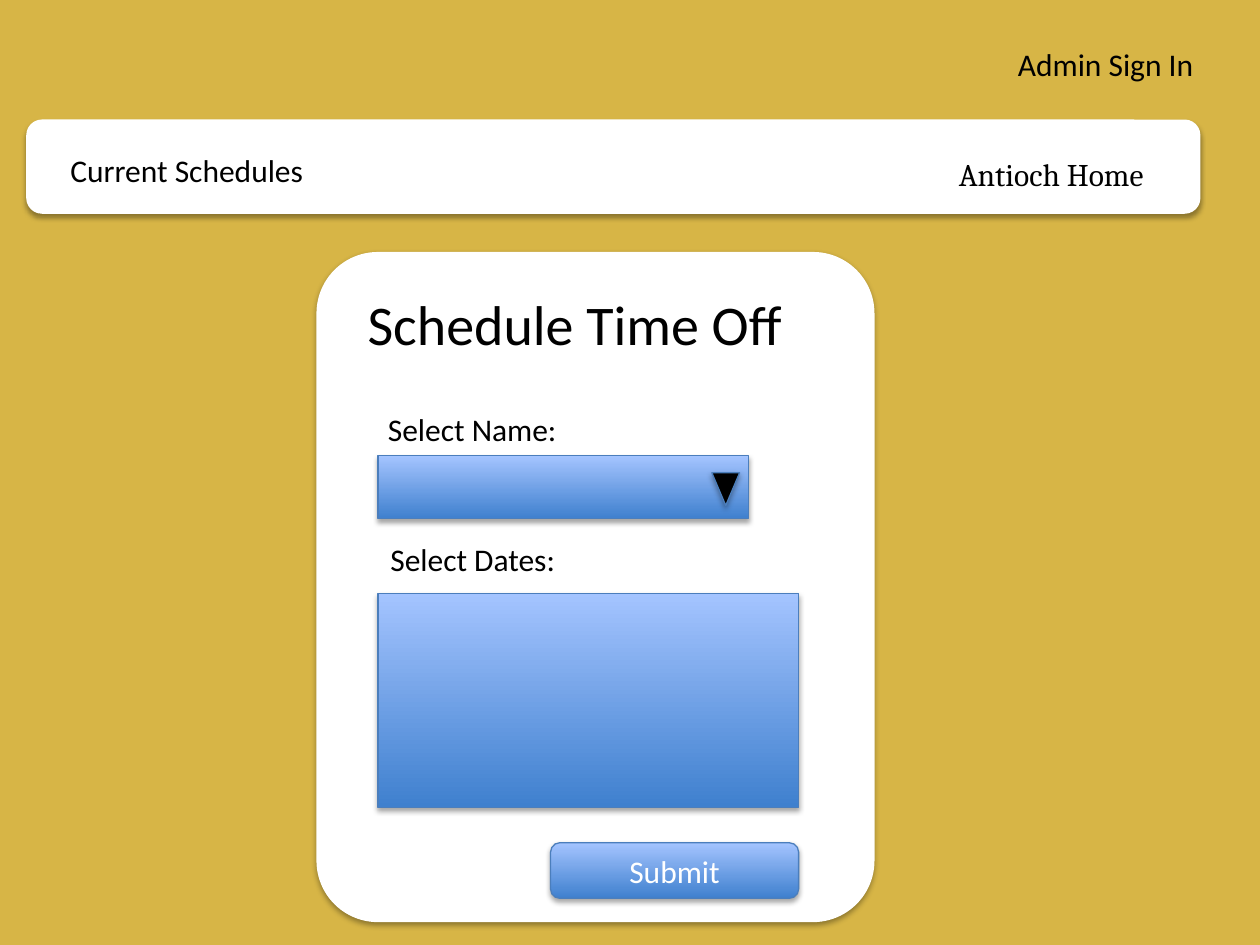
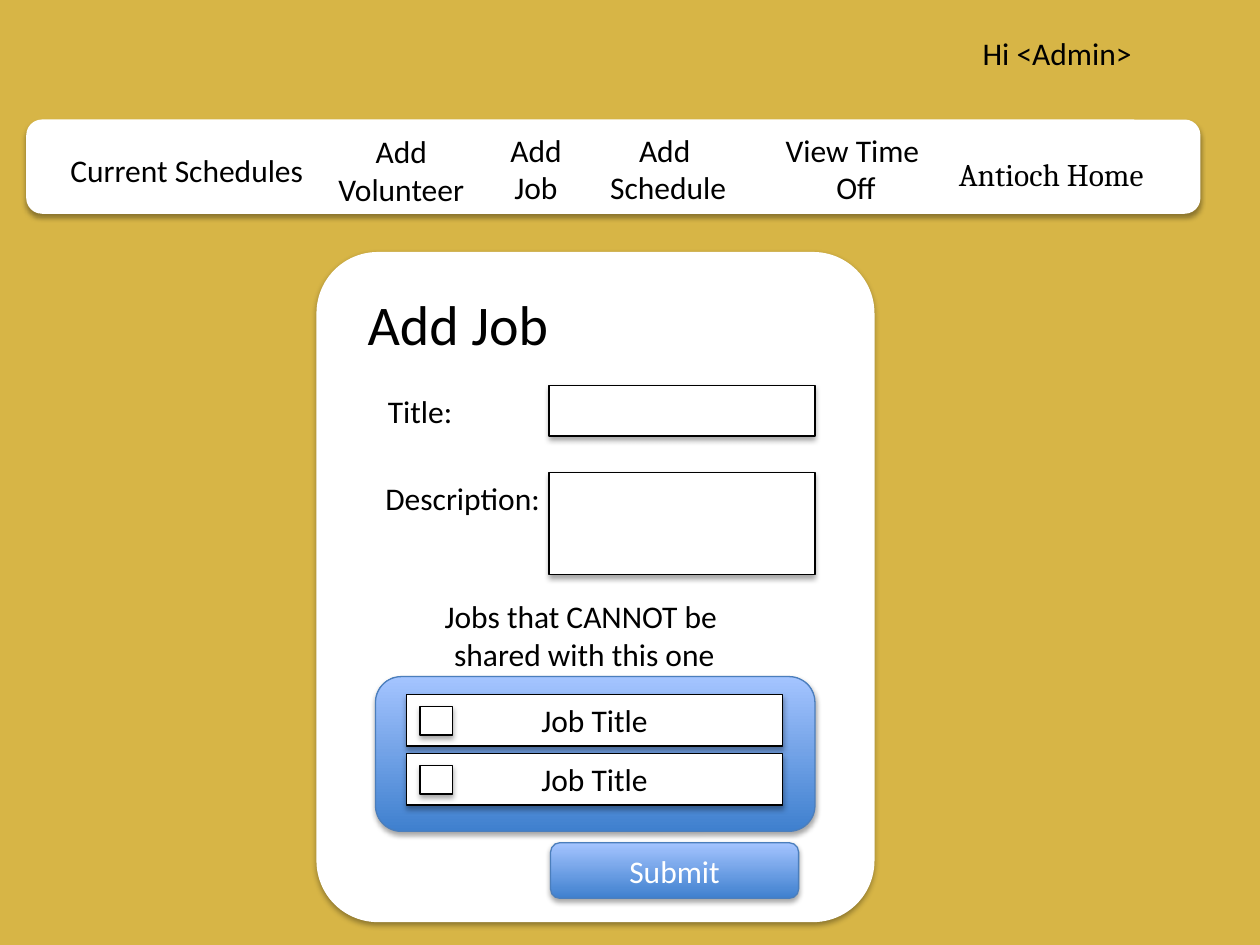
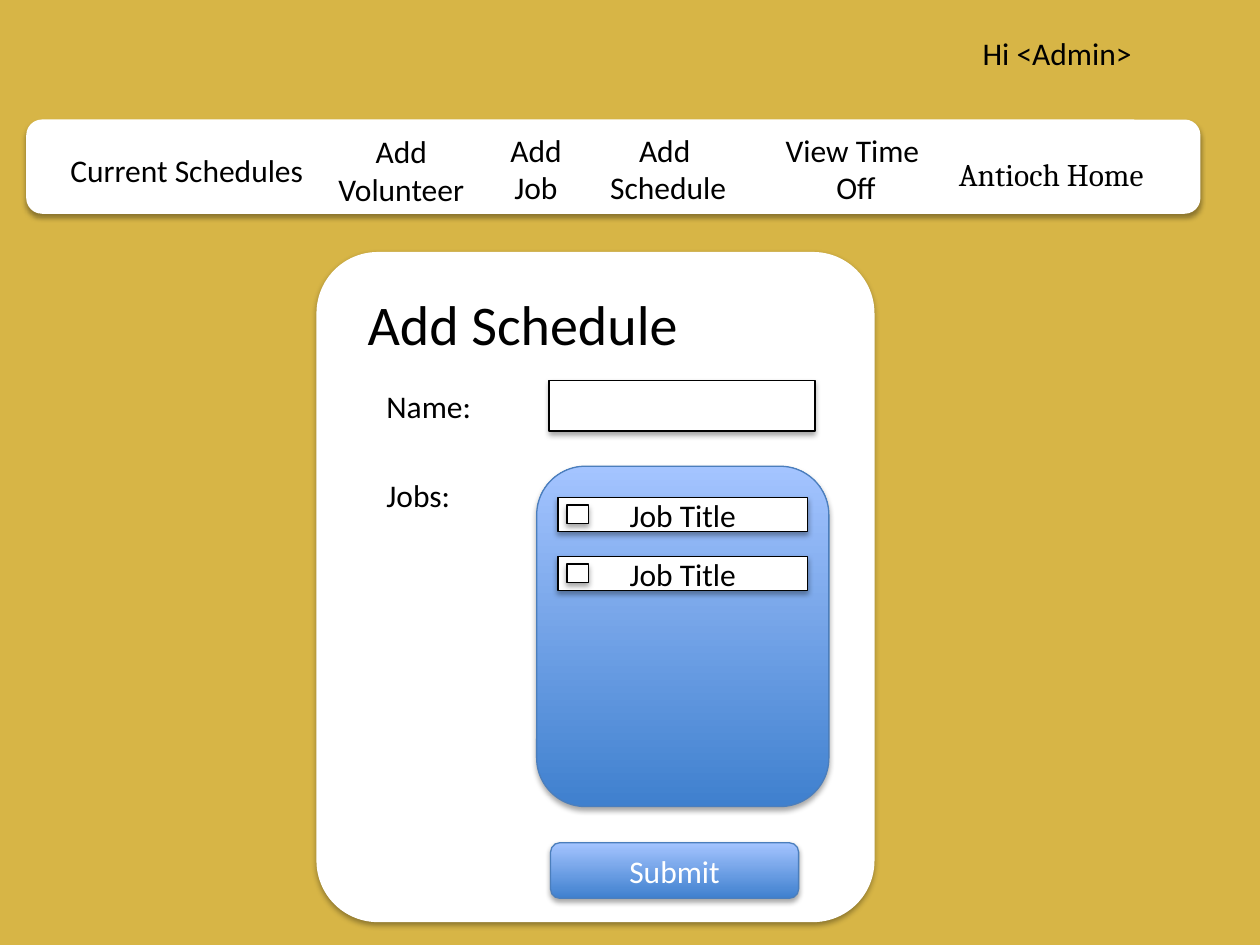
from dataclasses import dataclass

import lxml.etree
import pptx
import pptx.dml.color
import pptx.enum.shapes
import pptx.enum.text
import pptx.oxml.ns
import pptx.shapes.autoshape
import pptx.slide
import pptx.util

Cm = pptx.util.Cm
Pt = pptx.util.Pt
Slide = pptx.slide.Slide
Shape = pptx.shapes.autoshape.Shape
MSO_SHAPE = pptx.enum.shapes.MSO_SHAPE
PP_ALIGN = pptx.enum.text.PP_ALIGN

COLORS = {
    "background": "D7B546",
    "white": "FFFFFF",
    "black": "000000",
    "blue_line": "4B7EBC",
    "blue_dark": "3F80CE",
    "blue_light": "A4C4FF",
}
LINE_H = 1.02
TWO_LINES_H = 1.8
TITLE_H = 1.63
ROW_STEP = 1.19


@dataclass(frozen=True)
class Box:
    x: float
    y: float
    w: float
    h: float = LINE_H

    def lengths(self) -> tuple:
        return Cm(self.x), Cm(self.y), Cm(self.w), Cm(self.h)


@dataclass(frozen=True)
class Label:
    text: str
    box: Box
    size: int = 18
    font: str = "Calibri"
    center: bool = False


@dataclass(frozen=True)
class Check:
    dx: float
    dy: float
    w: float
    h: float


NAV_BAR = Box(0.53, 2.41, 23.67, 1.9)
CARD = Box(6.38, 5.08, 11.25, 13.51)
SUBMIT = Box(11.1, 16.99, 5, 1.12)
SITE_LINKS = [
    Label("Antioch Home", Box(19.08, 3, 4.65), font="Cambria"),
    Label("Current Schedules", Box(1.17, 2.92, 5.26)),
]
ADMIN_LINKS = [
    Label("Add\nVolunteer", Box(6.53, 2.54, 3.12, TWO_LINES_H), center=True),
    Label("Add \nJob", Box(10.03, 2.51, 1.55, TWO_LINES_H), center=True),
    Label("Add\n Schedule", Box(11.89, 2.51, 3.02, TWO_LINES_H), center=True),
    Label("View Time\n Off", Box(15.57, 2.51, 3.23, TWO_LINES_H), center=True),
]
SIGN_IN = Label("Admin Sign In", Box(20.27, 0.79, 4.09))
GREETING = Label("Hi <Admin>", Box(19.56, 0.56, 3.56))


def rgb(name: str) -> pptx.dml.color.RGBColor:
    return pptx.dml.color.RGBColor.from_string(COLORS[name])


def write(sp: Shape, text: str, *, size: int = 18, font: str = "Calibri",
          color: str = "black", center: bool = False) -> None:
    tf = sp.text_frame
    for i, line in enumerate(text.split("\n")):
        p = tf.add_paragraph() if i else tf.paragraphs[0]
        p.alignment = PP_ALIGN.CENTER if center else PP_ALIGN.LEFT
        r = p.add_run()
        r.text = line
        r.font.name = font
        r.font.size = Pt(size)
        r.font.color.rgb = rgb(color)


def add_label(s: Slide, label: Label) -> None:
    sp = s.shapes.add_textbox(*label.box.lengths())
    sp.text_frame.word_wrap = False
    sp.text_frame.auto_size = pptx.enum.text.MSO_AUTO_SIZE.SHAPE_TO_FIT_TEXT
    write(sp, label.text, size=label.size, font=label.font, center=label.center)


def add_shadow(sp: Shape) -> None:
    qn = pptx.oxml.ns.qn
    sp.shadow.inherit = False
    effects = sp._element.spPr.find(qn("a:effectLst"))
    shadow = lxml.etree.SubElement(
        effects, qn("a:outerShdw"), blurRad=str(Pt(3.1)), dist=str(Pt(1.8)),
        dir="5400000", rotWithShape="0")
    color = lxml.etree.SubElement(shadow, qn("a:srgbClr"), val=COLORS["black"])
    lxml.etree.SubElement(color, qn("a:alpha"), val="35000")


def add_box(s: Slide, box: Box, *, kind: MSO_SHAPE = MSO_SHAPE.RECTANGLE,
            fill: str = "white", line: str = "black") -> Shape:
    sp = s.shapes.add_shape(kind, *box.lengths())
    if fill == "gradient":
        sp.fill.gradient()
        sp.fill.gradient_angle = 90
        for stop, name in zip(sp.fill.gradient_stops, ("blue_dark", "blue_light")):
            stop.color.rgb = rgb(name)
    else:
        sp.fill.solid()
        sp.fill.fore_color.rgb = rgb(fill)
    if line:
        sp.line.color.rgb = rgb(line)
        sp.line.width = Pt(0.75)
    else:
        sp.line.fill.background()
    add_shadow(sp)
    return sp


def add_blue(s: Slide, box: Box, kind: MSO_SHAPE = MSO_SHAPE.RECTANGLE) -> Shape:
    return add_box(s, box, kind=kind, fill="gradient", line="blue_line")


def add_job_list(s: Slide, panel: Box, first_row: Box, check: Check) -> None:
    add_blue(s, panel, MSO_SHAPE.ROUNDED_RECTANGLE)
    for i in range(2):
        y = first_row.y + i * ROW_STEP
        row = add_box(s, Box(first_row.x, y, first_row.w, first_row.h))
        write(row, "Job Title", center=True)
        add_box(s, Box(first_row.x + check.dx, y + check.dy, check.w, check.h))


def add_page(prs: pptx.presentation.Presentation, title: str, title_w: float,
             admin: bool = True) -> Slide:
    s = prs.slides.add_slide(prs.slide_layouts[6])
    rounded = MSO_SHAPE.ROUNDED_RECTANGLE
    add_box(s, NAV_BAR, kind=rounded, line="")
    card = add_box(s, CARD, kind=rounded, line="")
    card.adjustments[0] = 0.11
    heading = Label(title, Box(7.16, 5.72, title_w, TITLE_H), size=32)
    account = [GREETING, *ADMIN_LINKS] if admin else [SIGN_IN]
    for label in [*SITE_LINKS, heading, *account]:
        add_label(s, label)
    write(add_blue(s, SUBMIT, rounded), "Submit", color="white", center=True)
    return s


def build_time_off(prs: pptx.presentation.Presentation) -> None:
    s = add_page(prs, "Schedule Time Off", 8.97, admin=False)
    add_label(s, Label("Select Name:", Box(7.57, 8.15, 3.94)))
    add_blue(s, Box(7.62, 9.19, 7.47, 1.27))
    arrow = add_box(s, Box(14.35, 9.53, 0.56, 0.66), fill="black", line="blue_line",
                    kind=MSO_SHAPE.ISOSCELES_TRIANGLE)
    arrow.rotation = 180
    add_label(s, Label("Select Dates:", Box(7.62, 10.77, 3.89)))
    add_blue(s, Box(7.62, 11.96, 8.48, 4.32))


def build_add_job(prs: pptx.presentation.Presentation) -> None:
    s = add_page(prs, "Add Job", 4.19)
    add_label(s, Label("Title:", Box(7.57, 7.77, 1.83)))
    add_box(s, Box(11.07, 7.77, 5.36))
    add_label(s, Label("Description:", Box(7.52, 9.53, 3.81)))
    add_box(s, Box(11.07, 9.53, 5.36, 2.06))
    add_label(s, Label("Jobs that CANNOT be\n shared with this one",
                       Box(8.66, 11.91, 6.1, TWO_LINES_H), center=True))
    add_job_list(s, Box(7.57, 13.64, 8.86, 3.12), Box(8.2, 14, 7.57, 1.04),
                 Check(0.27, 0.24, 0.66, 0.58))


def build_add_schedule(prs: pptx.presentation.Presentation) -> None:
    s = add_page(prs, "Add Schedule", 6.83)
    add_label(s, Label("Name:", Box(7.54, 7.67, 2.24)))
    add_box(s, Box(11.07, 7.67, 5.36))
    add_label(s, Label("Jobs:", Box(7.54, 9.47, 1.8)))
    add_job_list(s, Box(10.82, 9.4, 5.89, 6.86), Box(11.25, 10.03, 5.03, 0.69),
                 Check(0.18, 0.15, 0.43, 0.38))


def main() -> None:
    prs = pptx.Presentation()
    prs.slide_width, prs.slide_height = Cm(25.4), Cm(19.05)
    fill = prs.slide_master.background.fill
    fill.solid()
    fill.fore_color.rgb = rgb("background")
    build_time_off(prs)
    build_add_job(prs)
    build_add_schedule(prs)
    prs.save("out.pptx")


if __name__ == "__main__":
    main()
